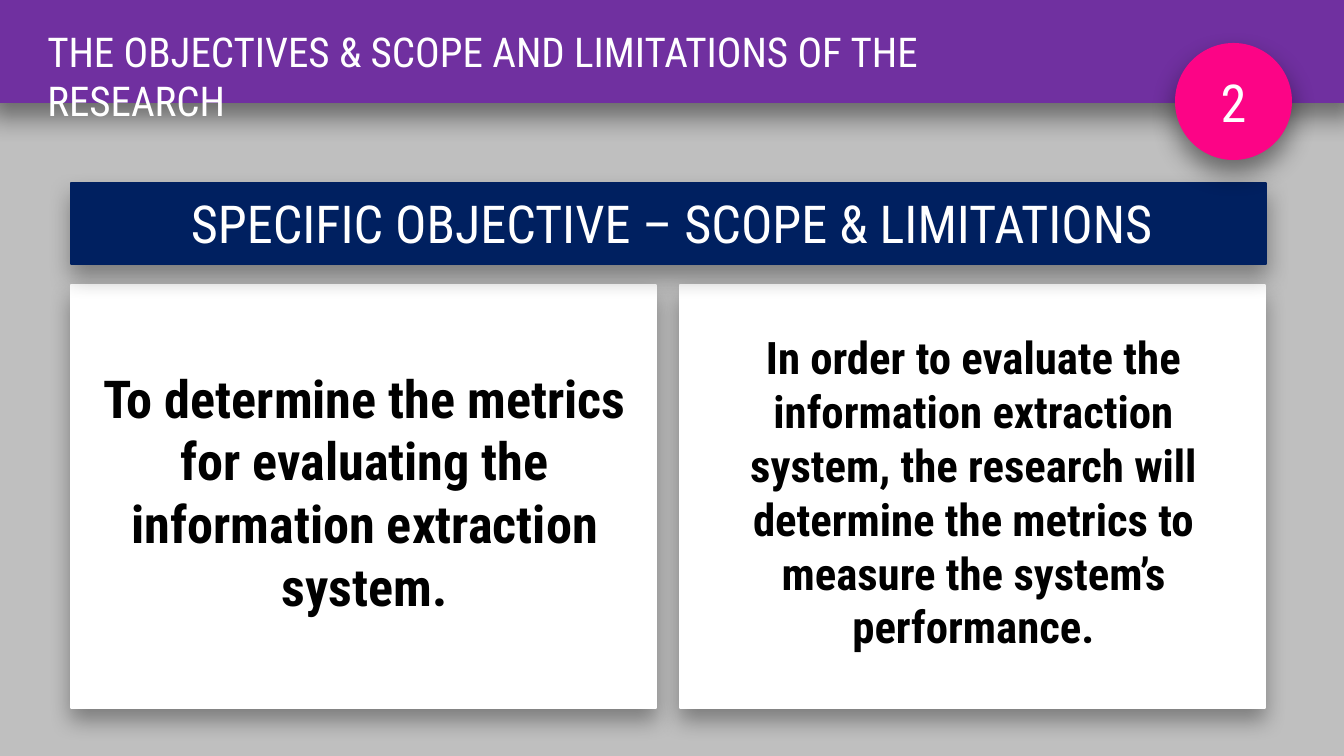
from dataclasses import dataclass
from typing import Optional

from lxml import etree
from pptx import Presentation
from pptx.dml.color import RGBColor
from pptx.enum.shapes import MSO_SHAPE
from pptx.enum.text import MSO_ANCHOR, PP_ALIGN
from pptx.oxml.ns import qn
from pptx.util import Emu, Pt

RECTANGLE, OVAL = MSO_SHAPE.RECTANGLE, MSO_SHAPE.OVAL
TOP, MIDDLE = MSO_ANCHOR.TOP, MSO_ANCHOR.MIDDLE
LEFT, CENTER = PP_ALIGN.LEFT, PP_ALIGN.CENTER

FONT = "Roboto Condensed"
EMU_PER_PIXEL = 914400 / 134.4
WHITE, BLACK, GRAY = "FFFFFF", "000000", "BFBFBF"
NAVY, PURPLE, PINK = "002060", "7030A0", "FC0486"


@dataclass(frozen=True)
class Shadow:
    opacity: int
    blur: int
    distance: int


@dataclass(frozen=True)
class Label:
    text: str
    size: int
    color: str = WHITE
    bold: bool = False
    align: PP_ALIGN = CENTER
    anchor: MSO_ANCHOR = MIDDLE


@dataclass(frozen=True)
class Box:
    left: int
    top: int
    width: int
    height: int
    fill: Optional[str] = None
    line: Optional[str] = None
    shadow: Optional[Shadow] = None
    label: Optional[Label] = None
    kind: MSO_SHAPE = RECTANGLE


SOFT = Shadow(35, 12, 6)
STRONG = Shadow(45, 14, 7)


def px(value: float) -> Emu:
    return Emu(round(value * EMU_PER_PIXEL))


def rgb(color: str) -> RGBColor:
    return RGBColor.from_string(color)


def add_shadow(shape, shadow: Shadow) -> None:
    effects = shape._element.spPr.find(qn("a:effectLst"))
    outer = etree.SubElement(
        effects, qn("a:outerShdw"), blurRad=str(Pt(shadow.blur)),
        dist=str(Pt(shadow.distance)), dir="5400000", rotWithShape="0")
    color = etree.SubElement(outer, qn("a:srgbClr"), val=BLACK)
    etree.SubElement(color, qn("a:alpha"), val=str(shadow.opacity * 1000))


def write_label(shape, label: Label) -> None:
    frame = shape.text_frame
    frame.word_wrap = True
    frame.vertical_anchor = label.anchor
    paragraph = frame.paragraphs[0]
    paragraph.text = label.text
    paragraph.alignment = label.align
    font = paragraph.font
    font.name, font.size, font.bold = FONT, Pt(label.size), label.bold
    font.color.rgb = rgb(label.color)


def draw_box(slide, box: Box) -> None:
    place = [px(value) for value in (box.left, box.top, box.width, box.height)]
    if box.fill:
        shape = slide.shapes.add_shape(box.kind, *place)
        shape.shadow.inherit = False
        shape.fill.solid()
        shape.fill.fore_color.rgb = rgb(box.fill)
        if box.line:
            shape.line.color.rgb = rgb(box.line)
            shape.line.width = Pt(0.75)
        else:
            shape.line.fill.background()
        if box.shadow:
            add_shadow(shape, box.shadow)
    else:
        shape = slide.shapes.add_textbox(*place)
    if box.label:
        write_label(shape, box.label)


def draw_card(slide, left: int, label: Label) -> None:
    draw_box(slide, Box(left, 285, 585, 423, WHITE, WHITE, SOFT))
    draw_box(slide, Box(left + 9, 298, 569, 387, label=label))


presentation = Presentation()
presentation.slide_width, presentation.slide_height = px(1344), px(756)
slide = presentation.slides.add_slide(presentation.slide_layouts[6])
slide.background.fill.solid()
slide.background.fill.fore_color.rgb = rgb(GRAY)

# Objective and scope cards
CARDS = [
    Label("To determine the metrics for evaluating the information extraction "
          "system.", 28, BLACK, True),
    Label("In order to evaluate the information extraction system, the research "
          "will determine the metrics to measure the system’s performance.",
          24, BLACK, True),
]
for index, card_label in enumerate(CARDS):
    draw_card(slide, 71 + index * 609, card_label)

# Section band, page header and number badge
BOXES = [
    Box(71, 183, 1195, 81, NAVY, NAVY, SOFT),
    Box(90, 185, 1163, 75, NAVY, NAVY,
        label=Label("SPECIFIC OBJECTIVE – SCOPE & LIMITATIONS", 28)),
    Box(-11, -132, 1367, 235, PURPLE, shadow=STRONG),
    Box(34, 20, 1078, 63, PURPLE,
        label=Label("THE OBJECTIVES & SCOPE AND LIMITATIONS OF THE RESEARCH", 22,
                    align=LEFT, anchor=TOP)),
    Box(1175, 43, 117, 117, PINK, shadow=STRONG, label=Label("2", 28), kind=OVAL),
]
for box in BOXES:
    draw_box(slide, box)

presentation.save("out.pptx")
